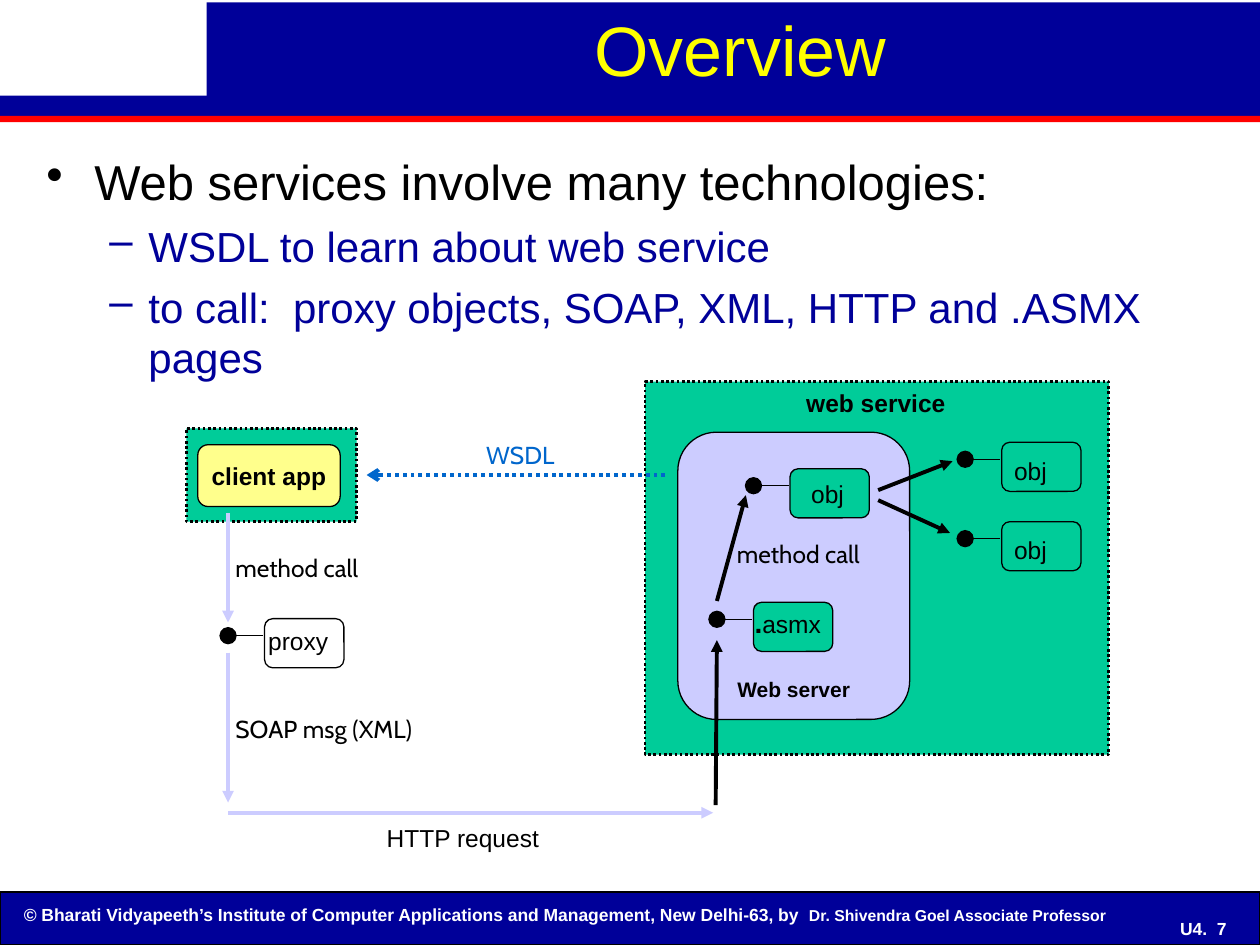
import pptx
import pptx.util
import pptx.dml.color
import pptx.enum.dml
import pptx.enum.shapes
import pptx.enum.text
import pptx.oxml
from pptx.oxml.ns import qn

COLORS = {
    "navy": "000099", "red": "FF0000", "yellow": "FFFF00", "white": "FFFFFF",
    "black": "000000", "green": "00CC99", "lilac": "CCCCFF", "cream": "FFFF8C",
    "blue": "0066CC",
}
SHAPES = pptx.enum.shapes.MSO_SHAPE
ANCHORS = pptx.enum.text.MSO_ANCHOR
CENTER = pptx.enum.text.PP_ALIGN.CENTER
DOTTED = pptx.enum.dml.MSO_LINE.ROUND_DOT

# The slide is a grid of 100 columns by 75 rows
COLUMNS, ROWS = 100, 75
CELL = pptx.util.Inches(0.1)


def color(name):
    return pptx.dml.color.RGBColor.from_string(COLORS[name])


def cells(*counts):
    return [round(count * CELL) for count in counts]


def within(box, left, top, width, height):
    """Move a rectangle given relative to a region onto the page."""
    return box[0] + left, box[1] + top, width, height


def add_child(parent, tag, **attributes):
    child = pptx.oxml.parse_xml(
        f'<a:{tag} xmlns:a="http://schemas.openxmlformats.org/drawingml/2006/main"/>')
    for key, value in attributes.items():
        child.set(key, value)
    parent.append(child)


def style_line(line, name, width, dotted=False):
    line.color.rgb = color(name)
    line.width = pptx.util.Pt(width)
    if dotted:
        line.dash_style = DOTTED


def style_font(font, size, name="black", bold=False, face="Arial"):
    font.name, font.size, font.bold = face, pptx.util.Pt(size), bold
    font.color.rgb = color(name)


def add_block(page, area, fill=None, line=None, kind=SHAPES.RECTANGLE,
              width=0.75, dotted=False):
    shape = page.shapes.add_shape(kind, *cells(*area))
    shape.shadow.inherit = False
    if fill:
        shape.fill.solid()
        shape.fill.fore_color.rgb = color(fill)
    else:
        shape.fill.background()
    if line:
        style_line(shape.line, line, width, dotted)
    else:
        shape.line.fill.background()
    return shape


def add_label(page, area, words, size=14, name="black", bold=False,
              face="Arial", align=None, anchor=ANCHORS.TOP):
    label = page.shapes.add_textbox(*cells(*area))
    label.text_frame.word_wrap = True
    label.text_frame.vertical_anchor = anchor
    para = label.text_frame.paragraphs[0]
    para.text, para.alignment = words, align
    style_font(para.font, size, name, bold, face)
    return label


def write_inside(shape, words, size, anchor):
    frame = shape.text_frame
    frame.word_wrap = False
    frame.vertical_anchor = anchor
    para = frame.paragraphs[0]
    para.text, para.alignment = words, CENTER
    style_font(para.font, size, bold=True)


def add_line(page, box, start, end, name="black", width=2.25, dotted=False,
             head=None, tail="triangle", size="med"):
    points = [origin + offset for point in (start, end)
              for origin, offset in zip(box, point)]
    line = page.shapes.add_connector(
        pptx.enum.shapes.MSO_CONNECTOR.STRAIGHT, *cells(*points))
    style_line(line.line, name, width, dotted)
    properties = line.line._get_or_add_ln()
    for tag, kind in (("headEnd", head), ("tailEnd", tail)):
        if kind:
            add_child(properties, tag, type=kind, w=size, len=size)
    add_child(line._element.find(qn("p:spPr")), "effectLst")


def add_object(page, box, spot, words, shift, width=6.5, fill=None):
    """Rounded object with a ball-ended interface line on its left."""
    left, top = spot
    add_block(page, within(box, left, top, 6.3, 3.9), fill, "black",
              SHAPES.ROUNDED_RECTANGLE)
    add_line(page, box, (left - 2.9, top + 1.35), (left - 0.1, top + 1.35),
             width=0.75, head="oval", tail=None, size="lg")
    return add_label(page, within(box, left + shift[0], top + shift[1], width, 3.4), words)


def draw_header(page, box):
    add_block(page, within(box, 0, 7.6, COLUMNS, 1.6), "navy")
    add_block(page, within(box, 0, 9.2, COLUMNS, 0.5), "red")
    add_block(page, within(box, 16.4, 0.2, 83.6, 7.6), "navy")
    add_label(page, within(box, 17.5, 0, 82.5, 8.3), "Overview", 40, "yellow",
              align=CENTER)


def draw_footer(page, box):
    add_block(page, box, "navy", "black")
    credit = add_label(
        page, within(box, 0.9, 0.3, 91.8, 3.6),
        "© Bharati Vidyapeeth’s Institute of Computer Applications and "
        "Management, New Delhi-63, by", 10, "white", True)
    para = credit.text_frame.paragraphs[0]
    for words, size in (("  ", 11), ("Dr. Shivendra Goel Associate Professor", 9)):
        span = para.add_run()
        span.text, span.font.size = words, pptx.util.Pt(size)
    add_label(page, within(box, 91.1, 1.1, 8.8, 3.5), "U4.  7", 10, "white", True,
              align=CENTER, anchor=ANCHORS.MIDDLE)


def draw_bullets(page, box):
    # Level, bullet, text margin and hang in inches, size, color
    levels = [(0, "•", 0.38, 0.38, 28, "black"), (1, "–", 0.81, 0.31, 24, "navy")]
    lines = [(0, "Web services involve many technologies:"),
             (1, "WSDL to learn about web service"),
             (1, "to call:  proxy objects, SOAP, XML, HTTP and .ASMX pages")]
    frame = page.shapes.add_textbox(*cells(*box)).text_frame
    frame.word_wrap = True
    for index, (depth, words) in enumerate(lines):
        level, mark, margin, hang, size, name = levels[depth]
        para = frame.add_paragraph() if index else frame.paragraphs[0]
        para.text, para.level = words, level
        if index:
            para.space_before = pptx.util.Pt(6)
        properties = para._p.get_or_add_pPr()
        properties.set("marL", str(pptx.util.Inches(margin)))
        properties.set("indent", str(-pptx.util.Inches(hang)))
        add_child(properties, "buChar", char=mark)
        style_font(para.font, size, name)


def draw_service(page, box):
    add_block(page, box, "green", "black", width=1.5, dotted=True)
    add_label(page, within(box, 11.8, 0, 14.2, 3.4), "web service", bold=True)
    for top in (4.8, 11.1):
        add_object(page, box, (28.3, top), "obj", (0, 0.6))

    # Web server and what runs in it
    server = add_block(page, within(box, 2.6, 4, 18.4, 22.8), "lilac", "black",
                       SHAPES.ROUNDED_RECTANGLE)
    write_inside(server, "Web server", 12, ANCHORS.BOTTOM)
    add_object(page, box, (11.5, 6.9), "obj", (0.7, 0.3), 4.7, "green")
    page_label = add_object(page, box, (8.6, 17.5), ".", (-0.9, -0.2), 7.8, "green")
    para = page_label.text_frame.paragraphs[0]
    dot = para.runs[0]
    dot.font.size, dot.font.bold = pptx.util.Pt(16), True
    para.add_run().text = "asmx"

    # Calls between objects
    for start, end in (((18.5, 9.4), (24.2, 12)), ((18.5, 8.6), (24.4, 6.3)),
                       ((5.7, 17.4), (8, 9))):
        add_line(page, box, start, end)
    add_label(page, within(box, 6.3, 12, 12.2, 3.4), "method call", face="Cabin")


def draw_client(page, box):
    add_block(page, box, "green", "black", width=1.5, dotted=True)
    app = add_block(page, within(box, 0.9, 1.3, 11.3, 4.9), "cream", "black",
                    SHAPES.ROUNDED_RECTANGLE)
    write_inside(app, "client app", 14, ANCHORS.MIDDLE)
    add_object(page, box, (6.2, 15.1), "proxy", (-0.7, 0.1), 7.8)
    for first, last, label_top, words in ((6.7, 15.4, 9.4, "method call"),
                                          (17.8, 29.7, 22.2, "SOAP msg (XML)")):
        add_line(page, box, (3.3, first), (3.3, last), "lilac")
        add_label(page, within(box, 2.9, label_top, 17.3, 3.4), words, face="Cabin")


def draw_exchange(page, box):
    # Request to the server
    add_line(page, box, (0, 30.5), (38.5, 30.5), "lilac")
    add_label(page, within(box, 11.6, 30.8, 16.1, 3.4), "HTTP request")
    add_line(page, box, (38.7, 29.9), (38.8, 16.8))
    # Description sent to the client
    add_line(page, box, (34.7, 3.7), (11, 3.7), "blue", dotted=True, tail="arrow")
    add_label(page, within(box, 19.5, 0.4, 8.2, 3.4), "WSDL", name="blue", face="Cabin")


def main():
    deck = pptx.Presentation()
    deck.slide_width, deck.slide_height = COLUMNS * CELL, ROWS * CELL
    page = deck.slides.add_slide(deck.slide_layouts[6])
    draw_header(page, (0, 0, COLUMNS, 9.7))
    draw_footer(page, (0, 70.8, COLUMNS, 4.2))
    draw_bullets(page, (2.7, 11.5, 95.2, 57.1))
    draw_service(page, (51.2, 30.3, 36.8, 29.6))
    draw_client(page, (14.8, 34, 13.5, 7.4))
    draw_exchange(page, (18.1, 34, 38.8, 34.2))
    deck.save("out.pptx")


if __name__ == "__main__":
    main()
